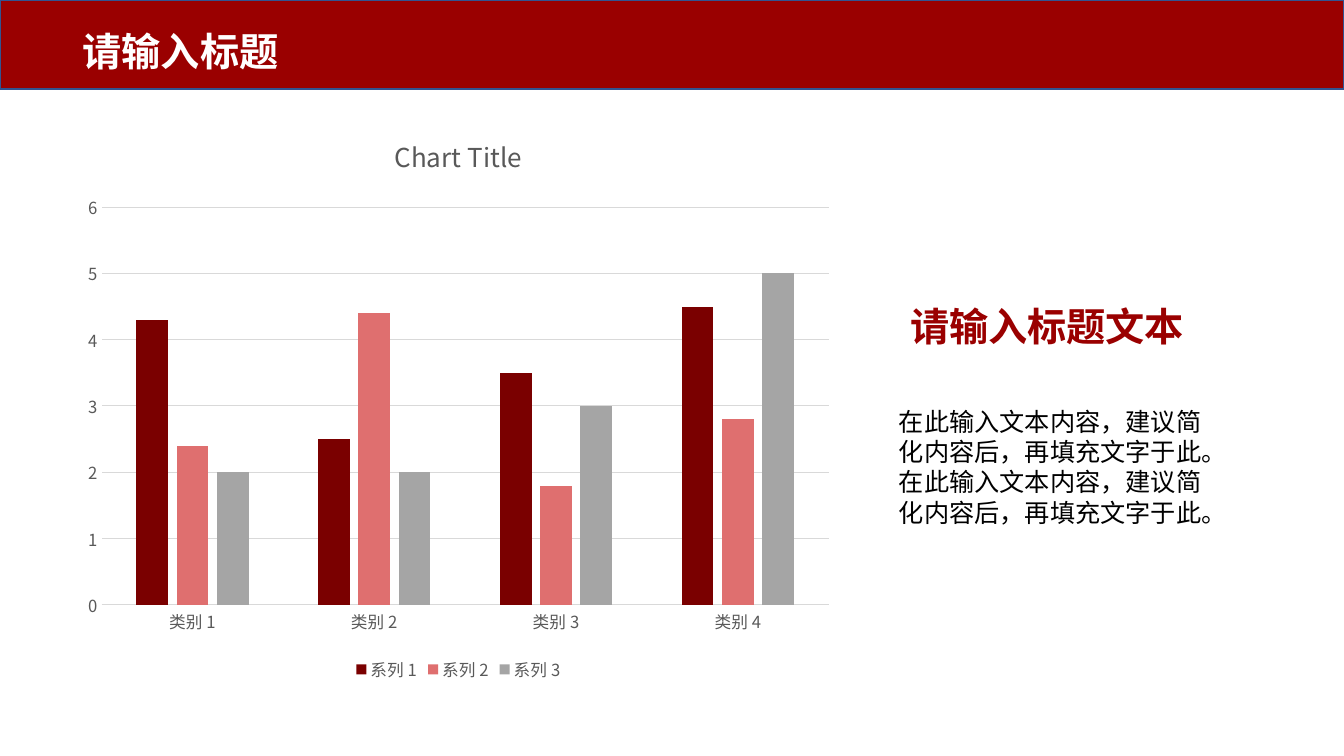
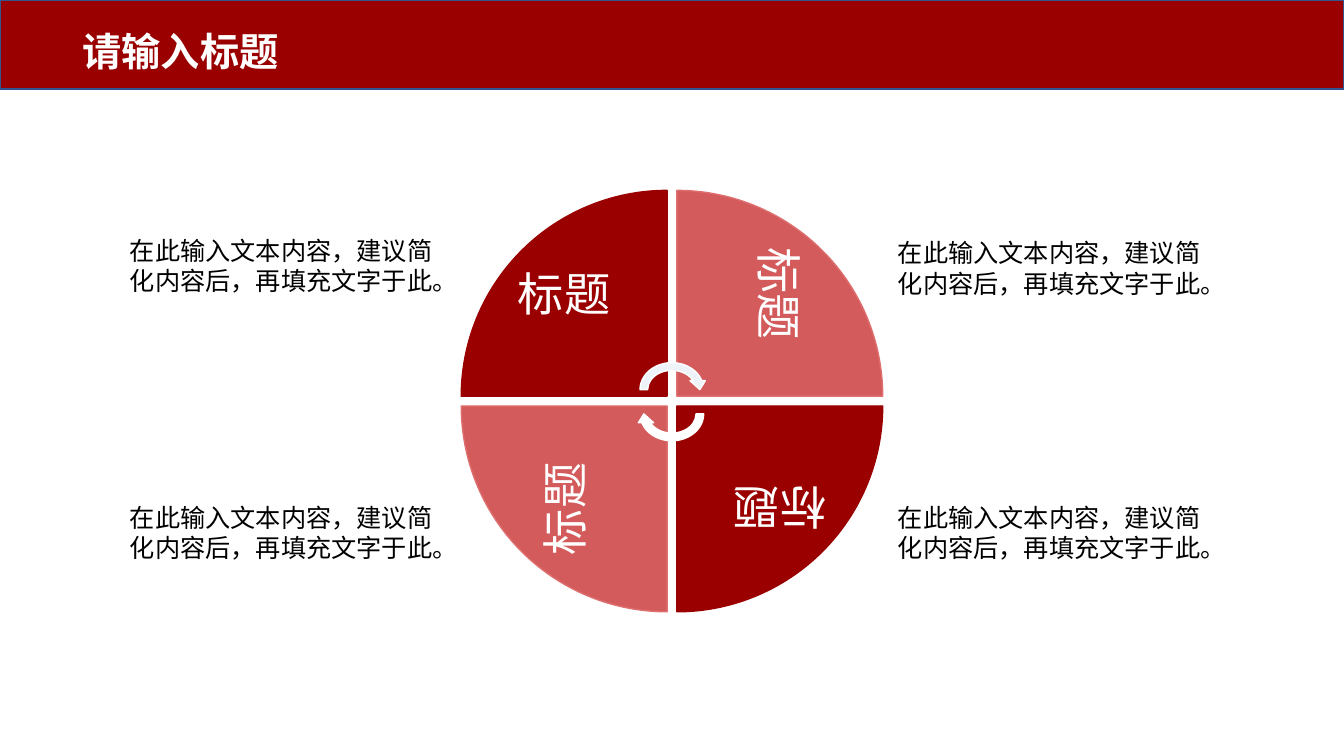
import pptx
import pptx.chart.data
import pptx.dml.color
import pptx.enum.chart
import pptx.enum.shapes
import pptx.enum.text
import pptx.oxml.ns
import pptx.util
import lxml.etree

Pt = pptx.util.Pt
Rgb = pptx.dml.color.RGBColor
Shape = pptx.enum.shapes.MSO_SHAPE
Align = pptx.enum.text.PP_ALIGN
Anchor = pptx.enum.text.MSO_ANCHOR
qn = pptx.oxml.ns.qn

RED = Rgb(0x9A, 0x00, 0x00)
DARK = Rgb(0x7A, 0x00, 0x00)
ROSE = Rgb(0xD3, 0x5B, 0x5B)
PINK = Rgb(0xDF, 0x6F, 0x6F)
GRAY = Rgb(0xA5, 0xA5, 0xA5)
RULE = Rgb(0xD9, 0xD9, 0xD9)
LABEL = Rgb(0x59, 0x59, 0x59)
BLUE = Rgb(0x32, 0x54, 0x91)
PALE = Rgb(0xED, 0xF3, 0xF9)
WHITE = Rgb(0xFF, 0xFF, 0xFF)
BLACK = Rgb(0x00, 0x00, 0x00)
HEAD = "Noto Sans CJK JP"
BODY = "Noto Sans CJK SC"
NOTE = "在此输入文本内容，建议简化内容后，再填充文字于此。"


def add_text(slide, text, box, size=18, font=BODY, color=BLACK, bold=False,
             align=Align.LEFT, anchor=Anchor.TOP, lead=1.2, turn=0, inset=None):
    item = slide.shapes.add_textbox(*map(Pt, box))
    item.rotation = turn
    frame = item.text_frame
    frame.word_wrap = True
    frame.vertical_anchor = anchor
    if inset is not None:
        frame.margin_left = frame.margin_right = Pt(inset)
        frame.margin_top = frame.margin_bottom = Pt(inset)
    para = frame.paragraphs[0]
    para.alignment = align
    if lead:
        para.line_spacing = Pt(size * lead)
    run = para.add_run()
    run.text = text
    run.font.size = Pt(size)
    run.font.name = font
    run.font.bold = bold
    run.font.color.rgb = color


def add_shape(slide, kind, box, fill, line, turn=0):
    item = slide.shapes.add_shape(kind, *map(Pt, box))
    item.rotation = turn
    item.shadow.inherit = False
    item.fill.solid()
    item.fill.fore_color.rgb = fill
    item.line.color.rgb = line
    item.line.width = Pt(1)


deck = pptx.Presentation()
deck.slide_width, deck.slide_height = Pt(960), Pt(540)

# Both slides: red band with title
for _ in range(2):
    slide = deck.slides.add_slide(deck.slide_layouts[6])
    add_shape(slide, Shape.RECTANGLE, (0, 0, 960, 63.5), RED, BLUE)
    add_text(slide, "请输入标题", (52, 10, 185, 52.5), size=28, font=HEAD,
             color=WHITE, bold=True, anchor=Anchor.MIDDLE)
first, second = deck.slides

# Slide 1: column chart
data = pptx.chart.data.CategoryChartData()
data.categories = [f"类别 {n}" for n in range(1, 5)]
rows = [(4.3, 2.5, 3.5, 4.5), (2.4, 4.4, 1.8, 2.8), (2, 2, 3, 5)]
for n, row in enumerate(rows, 1):
    data.add_series(f"系列 {n}", row)
chart = first.shapes.add_chart(
    pptx.enum.chart.XL_CHART_TYPE.COLUMN_CLUSTERED,
    Pt(52), Pt(80.6), Pt(551), Pt(409.5), data).chart
chart.font.name = BODY
chart.font.size = Pt(10)

chart.has_title = True
title = chart.chart_title.text_frame.paragraphs[0].add_run()
title.text = "Chart Title"
title.font.size = Pt(18.6)
title.font.bold = False

chart.has_legend = True
legend = chart.legend
legend.position = pptx.enum.chart.XL_LEGEND_POSITION.BOTTOM
legend.include_in_layout = False

cats, vals = chart.category_axis, chart.value_axis
for axis in (cats, vals):
    axis.major_tick_mark = pptx.enum.chart.XL_TICK_MARK.NONE
    axis.minor_tick_mark = pptx.enum.chart.XL_TICK_MARK.NONE
labels = (cats.tick_labels.font, vals.tick_labels.font, legend.font)
for font in labels:
    font.size = Pt(11.9)
for font in (*labels, title.font):
    font.name = BODY
    font.color.rgb = LABEL
for line in (cats.format.line, vals.major_gridlines.format.line):
    line.color.rgb = RULE
    line.width = Pt(0.75)
vals.format.line.fill.background()

plot = chart.plots[0]
plot.gap_width, plot.overlap = 219, -27
plot.vary_by_categories = False
for series, color in zip(plot.series, (DARK, PINK, GRAY)):
    series.format.fill.solid()
    series.format.fill.fore_color.rgb = color

# Slide 1: text beside the chart
add_text(first, "请输入标题文本", (643, 212.4, 270, 41), size=28, font=HEAD,
         color=RED, bold=True)
add_text(first, NOTE * 2, (635, 286.6, 244, 94.5))

# Slide 2: wheel of four wedges, clockwise from the top left
left, top, side, step = 329.5, 136, 147, 154
for n, (col, row) in enumerate([(0, 0), (1, 0), (1, 1), (0, 1)]):
    box = (left + col * step, top + row * step, side, side)
    fill, line = ((RED, RED), (ROSE, PINK))[n % 2]
    add_shape(second, Shape.PIE_WEDGE, box, fill, line, turn=90 * n)
    add_text(second, "标题", box, size=33, font=HEAD, color=WHITE, lead=None,
             align=Align.CENTER, anchor=Anchor.MIDDLE, turn=90 * n, inset=18.7)

# Slide 2: arrows at the hub
for y, fill, turn in ((256.3, PALE, 0), (273.6, WHITE, 180)):
    add_shape(second, Shape.CIRCULAR_ARROW, (454.4, y, 51, 44), fill, WHITE,
              turn=turn)

# Slide 2: notes on both sides
for x, y in ((85.7, 164.2), (85.7, 355), (634.3, 166.3), (634.3, 355)):
    add_text(second, NOTE, (x, y, 240, 51))

# East Asian text takes the same font as Latin text
for root in (first.element, second.element, chart.element):
    for latin in list(root.iter(qn("a:latin"))):
        east = lxml.etree.Element(qn("a:ea"), typeface=latin.get("typeface"))
        latin.addnext(east)

deck.save("out.pptx")
